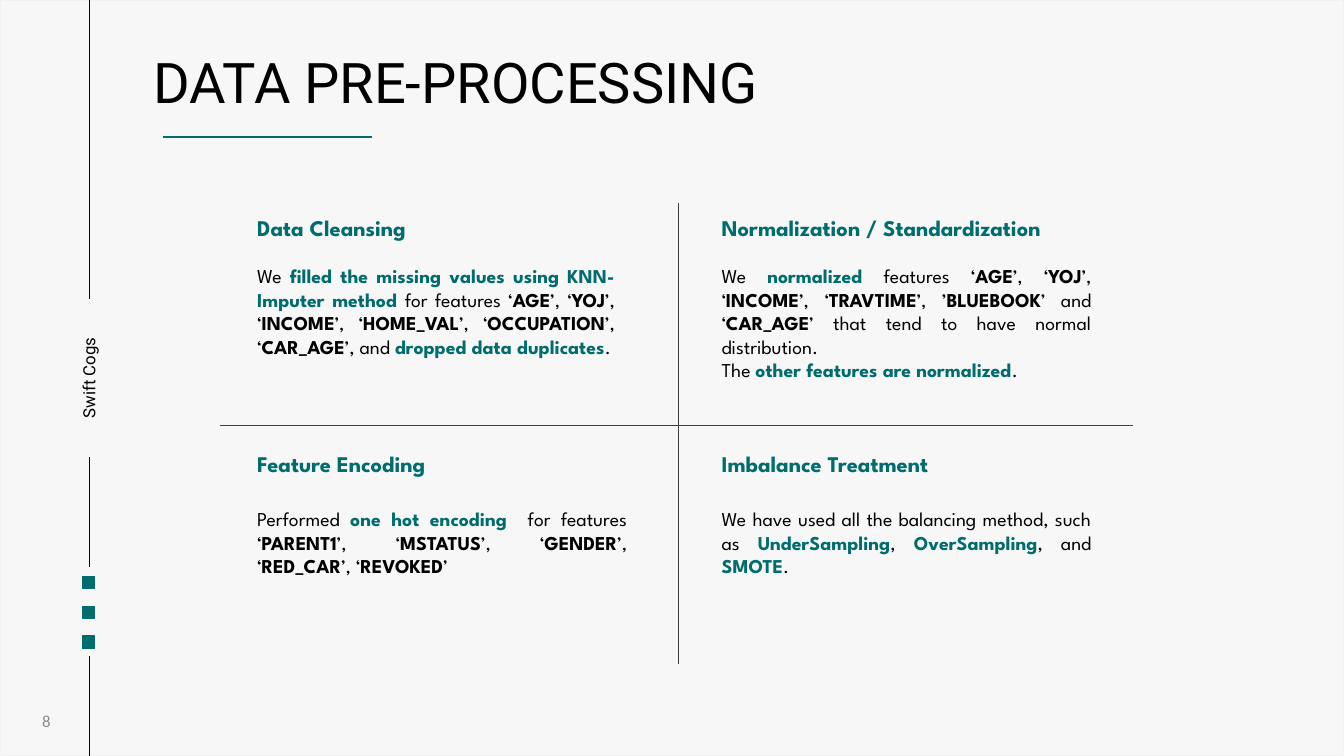
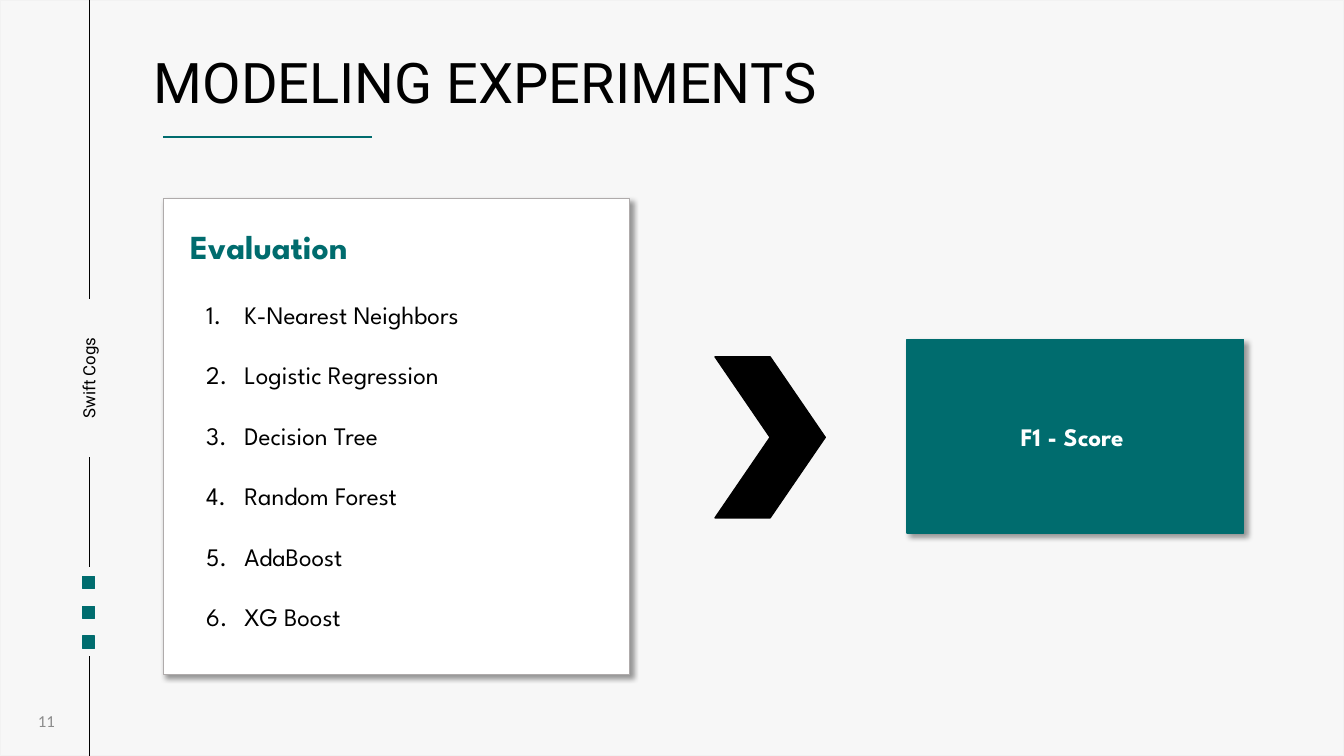
from dataclasses import dataclass

from lxml import etree
from pptx import Presentation
from pptx.dml.color import RGBColor
from pptx.enum.shapes import MSO_CONNECTOR, MSO_SHAPE
from pptx.enum.text import MSO_ANCHOR, PP_ALIGN
from pptx.oxml.ns import qn
from pptx.util import Inches, Pt

RECTANGLE, CHEVRON = MSO_SHAPE.RECTANGLE, MSO_SHAPE.CHEVRON
STRAIGHT = MSO_CONNECTOR.STRAIGHT
LEFT, CENTER, JUSTIFY = PP_ALIGN.LEFT, PP_ALIGN.CENTER, PP_ALIGN.JUSTIFY
TOP, MIDDLE = MSO_ANCHOR.TOP, MSO_ANCHOR.MIDDLE

TEAL = RGBColor(0x00, 0x6C, 0x6E)
BLACK = RGBColor(0x00, 0x00, 0x00)
WHITE = RGBColor(0xFF, 0xFF, 0xFF)
PAPER = RGBColor(0xF7, 0xF7, 0xF7)
PAPER_EDGE = RGBColor(0xF2, 0xF2, 0xF2)
CARD_EDGE = RGBColor(0xAF, 0xAB, 0xAB)
DIVIDER = RGBColor(0x40, 0x40, 0x40)
PAGE_GRAY = RGBColor(0x8C, 0x8C, 0x8C)

WIDTH, HEIGHT = Inches(13.333), Inches(7.5)
TEAM_NAME = "Swift Cogs"
SPINE_X = 6.6
SPINE_PARTS = ((0, 39.5), (60.5, 75), (86.8, 100))


@dataclass(frozen=True)
class Box:
    """A place on the slide, in percent of its width and height."""
    left: float
    top: float
    width: float
    height: float

    def emu(self) -> tuple[int, int, int, int]:
        return (across(self.left), down(self.top),
                across(self.width), down(self.height))


@dataclass(frozen=True)
class Style:
    size: float
    font: str = "League Spartan"
    color: RGBColor = BLACK
    bold: bool = False
    align: PP_ALIGN = LEFT
    anchor: MSO_ANCHOR = TOP


@dataclass(frozen=True)
class Topic:
    """A quadrant; *stars* mark teal bold text and ^carets^ black bold."""
    column: int
    row: int
    heading: str
    paragraphs: tuple[str, ...]
    width: float = 29


TITLE = Style(40, "Roboto", anchor=MIDDLE)
TEAM = Style(12, "Roboto", align=CENTER)
PAGE = Style(12, "Calibri", PAGE_GRAY, align=CENTER, anchor=MIDDLE)
HEADING = Style(16, color=TEAL, bold=True)
BODY = Style(14, align=JUSTIFY)
CARD_HEADING = Style(24, color=TEAL, bold=True)
MODEL = Style(18, align=JUSTIFY)
METRIC = Style(18, color=WHITE, bold=True, align=CENTER, anchor=MIDDLE)

COLUMN_LEFTS = (18.4, 52.95)
HEADING_TOPS = (27.7, 58.9)
BODY_TOPS = (34.3, 66.4)
BODY_HEIGHTS = (17.1, 10.8)

TOPICS = (
    Topic(0, 0, "Data Cleansing", (
        "We *filled the missing values using KNN-Imputer method *for features "
        "‘^AGE^’, ‘^YOJ^’, ‘^INCOME^’, ‘^HOME_VAL^’, ‘^OCCUPATION^’, "
        "‘^CAR_AGE^’, and *dropped data duplicates*.",), width=28.1),
    Topic(1, 0, "Normalization / Standardization", (
        "We *normalized* features ‘^AGE^’, ‘^YOJ^’, ‘^INCOME^’, ‘^TRAVTIME^’, "
        "’^BLUEBOOK^’ and ‘^CAR_AGE^’ that tend to have normal distribution.",
        "The *other features are normalized*.")),
    Topic(0, 1, "Feature Encoding", (
        "Performed *one hot encoding * for features ‘^PARENT1^’, ‘^MSTATUS^’, "
        "‘^GENDER^’, ‘^RED_CAR^’, ‘^REVOKED^’",)),
    Topic(1, 1, "Imbalance Treatment", (
        "We have used all the balancing method, such as *UnderSampling*, "
        "*OverSampling*, and *SMOTE*.",)),
)
MODELS = ("K-Nearest Neighbors", "Logistic Regression", "Decision Tree",
          "Random Forest", "AdaBoost", "XG Boost")


def across(percent: float) -> int:
    return round(WIDTH * percent / 100)


def down(percent: float) -> int:
    return round(HEIGHT * percent / 100)


def add_rule(slide, start: tuple[float, float], end: tuple[float, float],
             color: RGBColor, weight: float = 1) -> None:
    rule = slide.shapes.add_connector(
        STRAIGHT, across(start[0]), down(start[1]), across(end[0]), down(end[1]))
    rule.line.color.rgb = color
    rule.line.width = Pt(weight)
    etree.SubElement(rule._element.spPr, qn("a:effectLst"))


def add_block(slide, box: Box, fill: RGBColor, edge: RGBColor, kind=RECTANGLE):
    block = slide.shapes.add_shape(kind, *box.emu())
    block.shadow.inherit = False
    block.fill.solid()
    block.fill.fore_color.rgb = fill
    block.line.color.rgb = edge
    block.line.width = Pt(1)
    return block


def cast_shadow(block) -> None:
    """Give the block a soft shadow to the lower right."""
    effects = block._element.spPr.find(qn("a:effectLst"))
    shadow = etree.SubElement(
        effects, qn("a:outerShdw"), blurRad=str(Pt(4)), dist=str(Pt(3)),
        dir="2700000", algn="tl", rotWithShape="0")
    color = etree.SubElement(shadow, qn("a:srgbClr"), val=str(BLACK))
    etree.SubElement(color, qn("a:alpha"), val="40000")


def add_marked_runs(paragraph, text: str, style: Style) -> None:
    for i, outer in enumerate(text.split("*")):
        teal = i % 2 == 1
        for j, words in enumerate(outer.split("^")):
            if not words:
                continue
            run = paragraph.add_run()
            run.text = words
            run.font.name = style.font
            run.font.size = Pt(style.size)
            run.font.bold = style.bold or teal or j % 2 == 1
            run.font.color.rgb = TEAL if teal else style.color


def write(shape, paragraphs: tuple[str, ...], style: Style) -> None:
    frame = shape.text_frame
    frame.word_wrap = True
    frame.vertical_anchor = style.anchor
    for i, text in enumerate(paragraphs):
        paragraph = frame.add_paragraph() if i else frame.paragraphs[0]
        paragraph.alignment = style.align
        add_marked_runs(paragraph, text, style)


def add_text(slide, box: Box, style: Style, *paragraphs: str):
    label = slide.shapes.add_textbox(*box.emu())
    write(label, paragraphs, style)
    return label


def number_items(label, indent: float, gap: float) -> None:
    """Number the paragraphs, with a hanging indent in inches."""
    for i, paragraph in enumerate(label.text_frame.paragraphs):
        if i:
            paragraph.space_before = Pt(gap)
        properties = paragraph._p.get_or_add_pPr()
        properties.set("marL", str(Inches(indent)))
        properties.set("indent", str(-Inches(indent)))
        etree.SubElement(properties, qn("a:buFont"), typeface="+mj-lt")
        etree.SubElement(properties, qn("a:buAutoNum"), type="arabicPeriod")


def add_framed_slide(deck, title: str, page: int):
    """Add a blank slide with the side spine, title and page number."""
    slide = deck.slides.add_slide(deck.slide_layouts[6])
    add_block(slide, Box(0, 0, 100, 100), PAPER, PAPER_EDGE)
    for top, bottom in SPINE_PARTS:
        add_rule(slide, (SPINE_X, top), (SPINE_X, bottom), BLACK, 0.25)
    team = add_text(slide, Box(SPINE_X - 6.15, 48, 12.3, 4), TEAM, TEAM_NAME)
    team.rotation = 270
    for i in range(3):
        add_block(slide, Box(SPINE_X - 0.45, 76.25 + 3.95 * i, 0.9, 1.6),
                  TEAL, TEAL)
    add_text(slide, Box(10.7, 5.6, 83.5, 10.3), TITLE, title)
    add_rule(slide, (12.15, 18.1), (27.7, 18.1), TEAL)
    add_text(slide, Box(1.7, 92.7, 3.5, 5.3), PAGE, str(page))
    return slide


def add_topic(slide, topic: Topic) -> None:
    left = COLUMN_LEFTS[topic.column]
    add_text(slide, Box(left, HEADING_TOPS[topic.row], 29, 4.9),
             HEADING, topic.heading)
    add_text(slide, Box(left, BODY_TOPS[topic.row], topic.width,
                        BODY_HEIGHTS[topic.row]), BODY, *topic.paragraphs)


def build_preprocessing(deck) -> None:
    slide = add_framed_slide(deck, "DATA PRE-PROCESSING", 8)
    add_rule(slide, (16.4, 56.3), (84.3, 56.3), DIVIDER)
    add_rule(slide, (50.5, 26.9), (50.5, 87.9), DIVIDER)
    for topic in TOPICS:
        add_topic(slide, topic)


def build_experiments(deck) -> None:
    slide = add_framed_slide(deck, "MODELING EXPERIMENTS", 11)
    card = add_block(slide, Box(12.15, 26.3, 34.7, 62.9), WHITE, CARD_EDGE)
    cast_shadow(card)
    add_text(slide, Box(13.4, 29.2, 32.3, 6.7), CARD_HEADING, "Evaluation")
    models = add_text(slide, Box(14.6, 38.9, 29.9, 45.7), MODEL, *MODELS)
    number_items(models, indent=0.38, gap=21.6)
    add_block(slide, Box(53.2, 47.2, 8.2, 21.3), BLACK, BLACK, CHEVRON)
    metric = add_block(slide, Box(67.5, 44.9, 25.05, 25.6), TEAL, TEAL)
    cast_shadow(metric)
    write(metric, ("F1 - Score ",), METRIC)


def main() -> None:
    deck = Presentation()
    deck.slide_width, deck.slide_height = WIDTH, HEIGHT
    build_preprocessing(deck)
    build_experiments(deck)
    deck.save("out.pptx")


if __name__ == "__main__":
    main()
